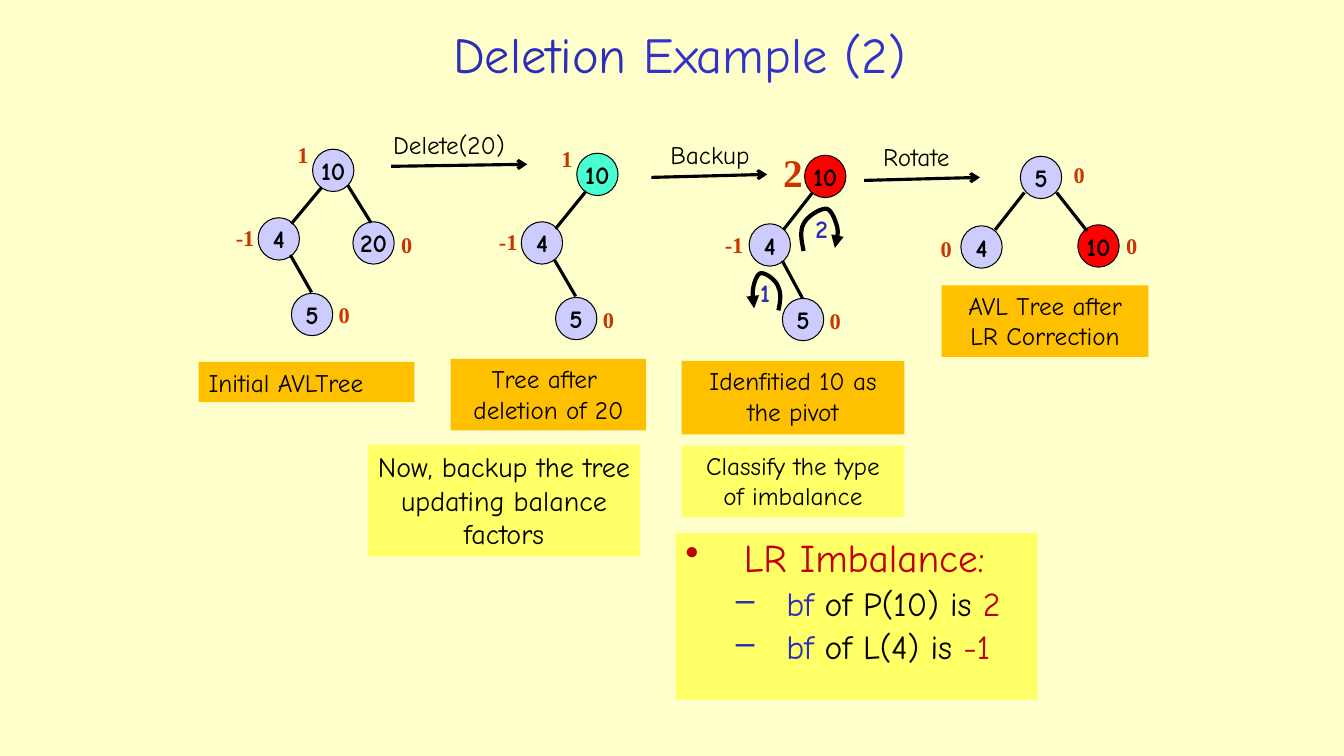
"""Builds the slide on deleting a key from an AVL tree and rebalancing it."""
import lxml.etree
import pptx
import pptx.dml.color
import pptx.enum.shapes
import pptx.enum.text
import pptx.oxml.ns
import pptx.util

PX = 9144
HUES = {"page": "FFFFCC", "ink": "000000", "title": "3333CC", "blue": "2D2DB9",
        "red": "C00000", "rust": "CC3300", "lilac": "CCCCFF", "mint": "47FFD1",
        "pivot": "FF0000", "gold": "FFC000", "lemon": "FFFF66"}
RGB = {name: pptx.dml.color.RGBColor.from_string(code) for name, code in HUES.items()}
QN = pptx.oxml.ns.qn
ALIGN = pptx.enum.text.PP_ALIGN
ANCHOR = pptx.enum.text.MSO_ANCHOR
COMIC, TIMES = "Comic Neue", "Times New Roman"


def write(shape, rows, size, face=COMIC, bold=False, align=ALIGN.CENTER, wrap=True):
    frame = shape.text_frame
    frame.word_wrap = wrap
    for i, row in enumerate(rows):
        para = frame.paragraphs[0] if i == 0 else frame.add_paragraph()
        para.alignment = align
        for text, hue in row:
            run = para.add_run()
            run.text = text
            run.font.name = face
            run.font.size = pptx.util.Pt(size)
            run.font.bold = bold
            run.font.color.rgb = RGB[hue]
    return frame


def stroke(shape, width, head=None):
    shape.line.color.rgb = RGB["ink"]
    shape.line.width = pptx.util.Pt(width)
    if head:
        line = shape.line._get_or_add_ln()
        lxml.etree.SubElement(line, QN("a:tailEnd"), type=head)
    if shape.shape_type == pptx.enum.shapes.MSO_SHAPE_TYPE.LINE:
        lxml.etree.SubElement(shape._element.spPr, QN("a:effectLst"))
    else:
        shape.shadow.inherit = False


deck = pptx.Presentation()
deck.slide_width, deck.slide_height = 1333 * PX, 750 * PX
slide = deck.slides.add_slide(deck.slide_layouts[6])
slide.background.fill.solid()
slide.background.fill.fore_color.rgb = RGB["page"]
shapes = slide.shapes

title = shapes.add_textbox(197 * PX, 15 * PX, 954 * PX, 76 * PX)
frame = write(title, [[("Deletion ", "blue"), ("Example (2)", "title")]], 36)
frame.vertical_anchor = ANCHOR.MIDDLE

nodes = [
    (310, 148, "10", "lilac"), (256, 216, "4", "lilac"),
    (350, 220, "20", "lilac"), (289, 291, "5", "lilac"),
    (572, 152, "10", "mint"), (517, 220, "4", "lilac"), (551, 295, "5", "lilac"),
    (798, 154, "10", "pivot"), (743, 222, "4", "lilac"), (776, 296, "5", "lilac"),
    (1012, 155, "5", "lilac"), (1069, 223, "10", "pivot"), (953, 224, "4", "lilac"),
]
for x, y, key, hue in nodes:
    node = shapes.add_shape(pptx.enum.shapes.MSO_SHAPE.OVAL, x * PX, y * PX, 41 * PX, 42 * PX)
    node.fill.solid()
    node.fill.fore_color.rgb = RGB[hue]
    stroke(node, 0.75)
    frame = write(node, [[(key, "ink")]], 18, bold=True, wrap=False)
    frame.vertical_anchor = ANCHOR.MIDDLE

edges = [
    (345, 184, 368, 221), (319, 186, 289, 222), (288, 253, 309, 290),
    (581, 190, 551, 227), (550, 258, 571, 294),
    (806, 191, 777, 228), (776, 259, 796, 296),
    (1016, 191, 987, 228), (1048, 191, 1078, 229),
]
steps = [(388, 165, 523, 163), (646, 176, 761, 173), (857, 179, 972, 176)]
for head, lines in ((None, edges), ("arrow", steps)):
    for ends in lines:
        link = shapes.add_connector(pptx.enum.shapes.MSO_CONNECTOR.STRAIGHT,
                                    *[n * PX for n in ends])
        stroke(link, 2.25, head)

marks = [
    (285, 135, "1"), (388, 224, "0"), (224, 217, "-1"), (326, 294, "0"),
    (547, 139, "1"), (485, 221, "-1"), (588, 299, "0"),
    (767, 142, "2"), (709, 224, "-1"), (813, 300, "0"),
    (1107, 225, "0"), (923, 228, "0"), (1055, 155, "0"),
]
for x, y, mark in marks:
    size, w, h = {"2": (28, 40, 57), "-1": (16, 39, 37)}.get(mark, (16, 31, 37))
    box = shapes.add_textbox(x * PX, y * PX, w * PX, h * PX)
    write(box, [[(mark, "rust")]], size, TIMES, True, ALIGN.LEFT, False)

notes = [
    (380, 123, 148, 40, None, 18, ALIGN.LEFT, ["Delete(20)"]),
    (655, 133, 104, 40, None, 18, ALIGN.LEFT, ["Backup"]),
    (866, 135, 102, 40, None, 18, ALIGN.LEFT, ["Rotate"]),
    (197, 359, 214, 40, "gold", 18, ALIGN.LEFT, ["Initial AVLTree"]),
    (447, 356, 194, 71, "gold", 18, ALIGN.CENTER, ["Tree after ", "deletion of 20"]),
    (676, 358, 221, 73, "gold", 18, ALIGN.CENTER, ["Idenfitied 10 as the pivot"]),
    (934, 283, 205, 71, "gold", 18, ALIGN.CENTER, ["AVL Tree after", "LR Correction"]),
    (676, 442, 221, 71, "lemon", 18, ALIGN.CENTER, ["Classify the type", "of imbalance"]),
    (365, 441, 270, 111, "lemon", 20, ALIGN.CENTER,
     ["Now, backup the tree updating balance factors"]),
]
for x, y, w, h, hue, size, align, texts in notes:
    box = shapes.add_textbox(x * PX, y * PX, w * PX, h * PX)
    if hue:
        box.fill.solid()
        box.fill.fore_color.rgb = RGB[hue]
    write(box, [[(text, "ink")] for text in texts], size, align=align)

panel = shapes.add_textbox(670 * PX, 529 * PX, 359 * PX, 165 * PX)
panel.fill.solid()
panel.fill.fore_color.rgb = RGB["lemon"]
frame = write(panel, [
    [("LR Imbalance:", "red")],
    [("bf", "blue"), (" of P(10) is ", "ink"), ("2", "red")],
    [("bf", "blue"), (" of L(4) is ", "ink"), ("-1", "red")],
], 24, align=ALIGN.LEFT)
frame.paragraphs[0].runs[0].font.size = pptx.util.Pt(28)
for i, para in enumerate(frame.paragraphs):
    left, hang, sign = (100, 50, "–") if i else (58, 58, "•")
    props = para._p.get_or_add_pPr()
    props.set("marL", str(left * PX))
    props.set("indent", str(-hang * PX))
    lxml.etree.SubElement(props, QN("a:buChar"), char=sign)
    para.line_spacing = 0.9
    if i:
        para.level = 1
        para.space_before = pptx.util.Pt(4.8)

turns = [
    ("1", 744, 270, [(772, 308), (774, 300), (775, 291), (772, 285), (770, 278),
                     (760, 271), (755, 271), (751, 271), (748, 280), (747, 286),
                     (746, 292), (747, 299), (748, 306)]),
    ("2", 799, 207, [(797, 249), (795, 239), (793, 229), (797, 222), (800, 215),
                     (813, 207), (819, 207), (824, 207), (828, 217), (830, 224),
                     (832, 230), (830, 238), (828, 246)]),
]
for label, x, y, curve in turns:
    dots = []
    for i in range(0, len(curve) - 1, 3):
        for k in range(1, 9):
            t = k / 8
            parts = ((1 - t) ** 3, 3 * t * (1 - t) ** 2, 3 * t * t * (1 - t), t ** 3)
            dots.append(tuple(PX * sum(p * dot[axis] for p, dot in zip(parts, curve[i:i + 4]))
                              for axis in (0, 1)))
    pen = shapes.build_freeform(curve[0][0] * PX, curve[0][1] * PX)
    pen.add_line_segments(dots, close=False)
    arc = pen.convert_to_shape()
    arc.fill.background()
    stroke(arc, 3, "triangle")
    box = shapes.add_textbox(x * PX, y * PX, 36 * PX, 40 * PX)
    write(box, [[(label, "blue")]], 18, bold=True, align=ALIGN.LEFT, wrap=False)

deck.save("out.pptx")
